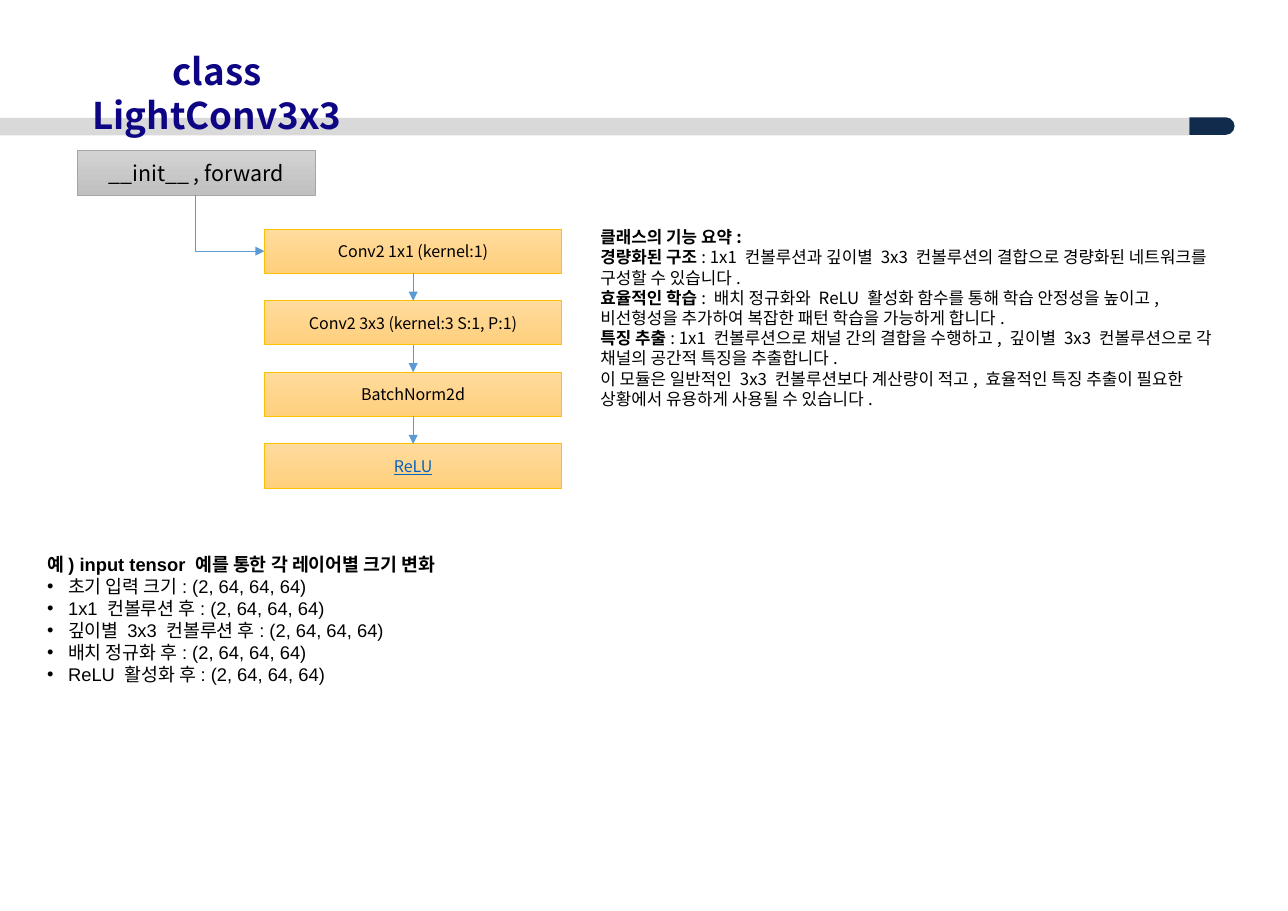
from lxml import etree
from pptx import Presentation
from pptx.dml.color import RGBColor
from pptx.enum.shapes import MSO_CONNECTOR, MSO_SHAPE
from pptx.enum.text import MSO_ANCHOR, MSO_AUTO_SIZE, PP_ALIGN
from pptx.oxml.ns import qn
from pptx.util import Inches, Pt

RECT = MSO_SHAPE.RECTANGLE
CAP = MSO_SHAPE.ROUND_2_SAME_RECTANGLE
STRAIGHT, ELBOW = MSO_CONNECTOR.STRAIGHT, MSO_CONNECTOR.ELBOW
LEFT, CENTER = PP_ALIGN.LEFT, PP_ALIGN.CENTER
MIDDLE = MSO_ANCHOR.MIDDLE
GROW = MSO_AUTO_SIZE.SHAPE_TO_FIT_TEXT
BOTTOM_SIDE, TOP_SIDE = 2, 0

SANS, ARIAL = "Noto Sans CJK KR", "Arial"
COLORS = {
    "title": "0E0585", "text": "000000", "link": "0563C1",
    "bar": "D9D9D9", "cap": "102B4C", "arrow": "5B9BD5",
    "gray_top": "D2D2D2", "gray_end": "C0C0C0", "gray_line": "A5A5A5",
    "gold_top": "FFDB9E", "gold_end": "FFD07C", "gold_line": "FFC000",
}

LAYERS = ["Conv2 1x1 (kernel:1)", "Conv2 3x3 (kernel:3 S:1, P:1)",
          "BatchNorm2d", "ReLU"]
# Each paragraph is a bold part and a plain part.
SUMMARY = [
    ("클래스의 기능 요약:", ""),
    ("경량화된 구조", ": 1x1 컨볼루션과 깊이별 3x3 컨볼루션의 결합으로 "
     "경량화된 네트워크를 구성할 수 있습니다."),
    ("효율적인 학습", ": 배치 정규화와 ReLU 활성화 함수를 통해 학습 안정성을 높이고, "
     "비선형성을 추가하여 복잡한 패턴 학습을 가능하게 합니다."),
    ("특징 추출", ": 1x1 컨볼루션으로 채널 간의 결합을 수행하고, "
     "깊이별 3x3 컨볼루션으로 각 채널의 공간적 특징을 추출합니다."),
    ("", "이 모듈은 일반적인 3x3 컨볼루션보다 계산량이 적고, "
     "효율적인 특징 추출이 필요한 상황에서 유용하게 사용될 수 있습니다."),
]
STAGES = ["초기 입력 크기", "1x1 컨볼루션 후", "깊이별 3x3 컨볼루션 후",
          "배치 정규화 후", "ReLU 활성화 후"]


def rgb(name):
    return RGBColor.from_string(COLORS[name])


class Board:
    """Holds the slide and draws each kind of element in one style."""

    def __init__(self, slide):
        self.shapes = slide.shapes

    def style(self, run, size, color="text", bold=False, font=SANS):
        run.font.size = Pt(size)
        run.font.bold = bold
        run.font.name = font
        run.font.color.rgb = rgb(color)
        asian = etree.Element(qn("a:ea"), typeface=SANS)
        run.font._element.find(qn("a:latin")).addnext(asian)

    def block(self, kind, left, top, width, height, color):
        """Draw a plain filled shape without a line."""
        shape = self.shapes.add_shape(
            kind, Inches(left), Inches(top), Inches(width), Inches(height))
        shape.shadow.inherit = False
        shape.fill.solid()
        shape.fill.fore_color.rgb = rgb(color)
        shape.line.fill.background()
        return shape

    def box(self, left, top, width, label, size, tone, color="text"):
        """Draw a labelled box with a shaded fill."""
        shape = self.block(RECT, left, top, width, 0.4, tone + "_top")
        shape.fill.gradient()
        shape.fill.gradient_angle = 270
        for stop, end in zip(shape.fill.gradient_stops, ("_top", "_end")):
            stop.color.rgb = rgb(tone + end)
        shape.line.color.rgb = rgb(tone + "_line")
        shape.line.width = Pt(0.5)
        frame = shape.text_frame
        frame.text = label
        frame.vertical_anchor = MIDDLE
        frame.paragraphs[0].alignment = CENTER
        run = frame.paragraphs[0].runs[0]
        self.style(run, size, color)
        run.font.underline = color == "link"
        return shape

    def arrow(self, kind, left=0, top=0, right=0, bottom=0):
        line = self.shapes.add_connector(
            kind, Inches(left), Inches(top), Inches(right), Inches(bottom))
        line.line.color.rgb = rgb("arrow")
        line.line.width = Pt(0.5)
        props = line._element.spPr
        etree.SubElement(props.find(qn("a:ln")), qn("a:tailEnd"), type="triangle")
        etree.SubElement(props, qn("a:effectLst"))
        return line

    def corner(self, left, top, right, bottom):
        """Draw an arrow that goes down, then right."""
        width, height = right - left, bottom - top
        mid_x, mid_y = (left + right) / 2, (top + bottom) / 2
        line = self.arrow(ELBOW, mid_x - height / 2, mid_y - width / 2,
                          mid_x + height / 2, mid_y + width / 2)
        props = line._element.spPr
        props.find(qn("a:prstGeom")).set("prst", "bentConnector2")
        frame = props.find(qn("a:xfrm"))
        frame.set("rot", str(270 * 60000))
        frame.set("flipH", "1")

    def text(self, left, top, width, height, rows, size,
             color="text", font=SANS, align=LEFT):
        """Write rows, each a bold part and a plain part."""
        area = self.shapes.add_textbox(
            Inches(left), Inches(top), Inches(width), Inches(height))
        frame = area.text_frame
        frame.word_wrap = True
        frame.auto_size = GROW
        for i, row in enumerate(rows):
            para = frame.add_paragraph() if i else frame.paragraphs[0]
            para.alignment = align
            for part, bold in zip(row, (True, False)):
                if part:
                    run = para.add_run()
                    run.text = part
                    self.style(run, size, color, bold, font)
        return frame

    def bullet(self, para):
        indent = Inches(0.19)
        props = para._p.get_or_add_pPr()
        props.set("marL", str(indent))
        props.set("indent", str(-indent))
        etree.SubElement(props, qn("a:buFont"), typeface=ARIAL)
        etree.SubElement(props, qn("a:buChar"), char="•")


def main():
    deck = Presentation()
    deck.slide_width, deck.slide_height = Inches(11.69), Inches(8.27)
    board = Board(deck.slides.add_slide(deck.slide_layouts[6]))

    cap = board.block(CAP, 10.92, 0.94, 0.16, 0.41, "cap")
    cap.rotation = 90
    cap.adjustments[0] = 0.5
    board.block(RECT, 0, 1.07, 10.79, 0.16, "bar")
    title = board.text(0.33, 0.34, 3.28, 0.9, [("class LightConv3x3", "")],
                       24, "title", align=CENTER)
    title.margin_top = Inches(0.1)

    board.box(0.7, 1.37, 2.16, "__init__ , forward", 14, "gray")
    board.corner(1.77, 1.77, 2.4, 2.28)
    last = None
    for i, layer in enumerate(LAYERS):
        color = "link" if layer == "ReLU" else "text"
        box = board.box(2.4, 2.08 + 0.65 * i, 2.7, layer, 10.5, "gold", color)
        if last:
            link = board.arrow(STRAIGHT)
            link.begin_connect(last, BOTTOM_SIDE)
            link.end_connect(box, TOP_SIDE)
        last = box

    board.text(5.35, 2.01, 5.84, 1.77, SUMMARY, 11)
    sizes = [("예) input tensor 예를 통한 각 레이어별 크기 변화", "")]
    sizes += [("", f"{stage}: (2, 64, 64, 64)") for stage in STAGES]
    frame = board.text(0.33, 4.97, 4.27, 1.31, sizes, 12, font=ARIAL)
    for para in frame.paragraphs[1:]:
        board.bullet(para)

    deck.save("out.pptx")


if __name__ == "__main__":
    main()
